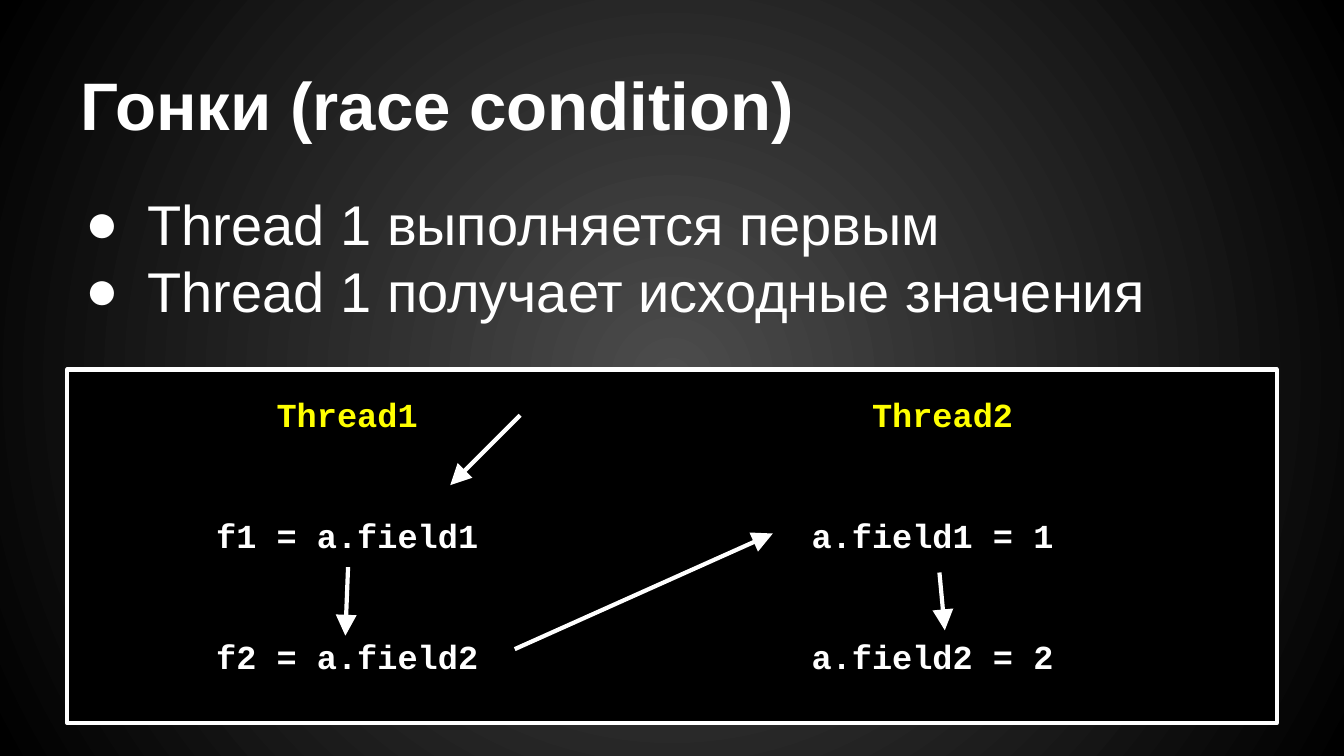
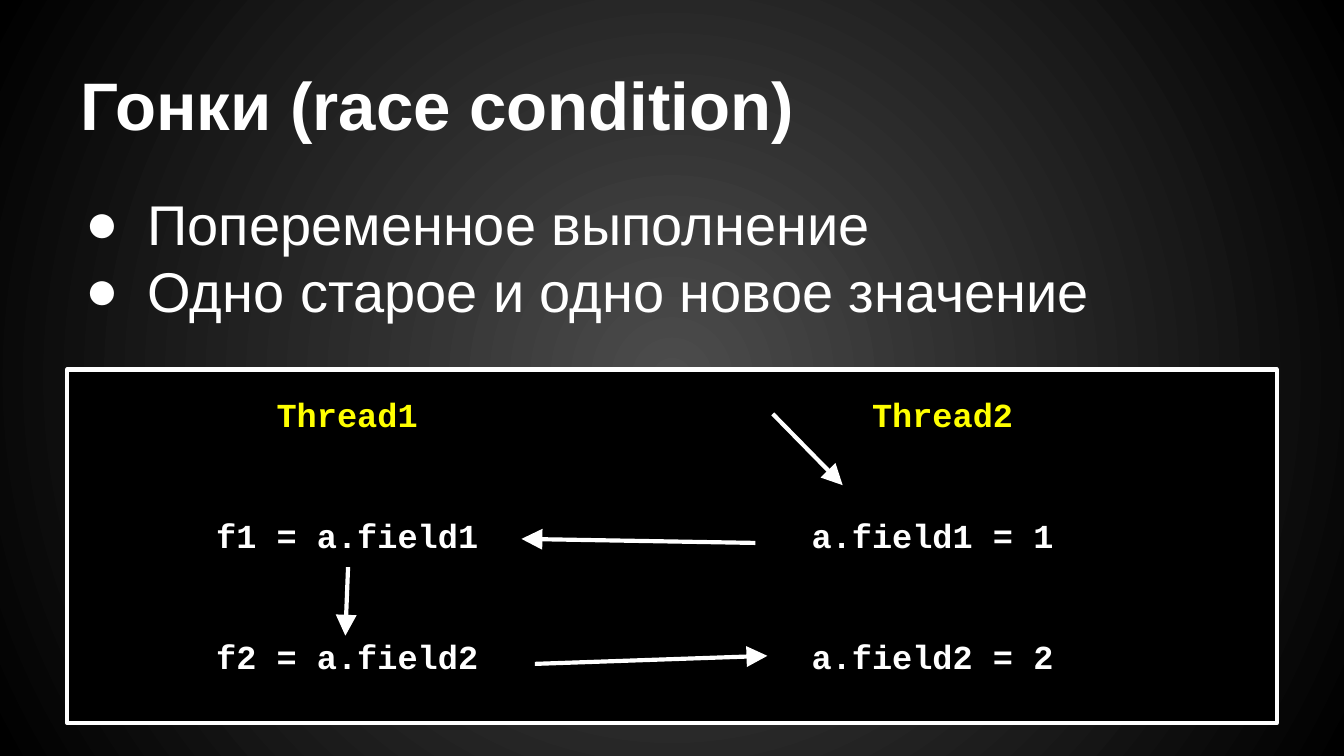
from lxml import etree
from pptx import Presentation
from pptx import util as u
from pptx.dml.color import RGBColor
from pptx.enum import shapes, text
from pptx.oxml import parse_xml
from pptx.oxml.ns import nsdecls, qn

COLORS = {"white": "FFFFFF", "black": "000000", "heading": "FFFF00", "glow": "4C4C4C"}
SANS, MONO = "Arial", "Courier New"
LINE_WIDTH = u.Pt(2.25)

TITLE = "Гонки (race condition)"
THREADS = [
    (1.51, "Thread1", ["f1 = a.field1", "f2 = a.field2"]),
    (5.94, "Thread2", ["a.field1 = 1", "a.field2 = 2"]),
]
THREAD1_STEP = ((2.59, 4.22), (2.57, 4.73))

# Each slide: bullets, then arrows showing the order of execution
SLIDES = [
    (
        ["Thread 1 выполняется первым", "Thread 1 получает исходные значения"],
        [
            ((3.87, 3.09), (3.35, 3.61)),
            ((3.83, 4.83), (5.75, 3.97)),
            THREAD1_STEP,
            ((6.99, 4.26), (7.03, 4.69)),
        ],
    ),
    (
        ["Попеременное выполнение", "Одно старое и одно новое значение"],
        [
            ((5.75, 3.08), (6.27, 3.61)),
            ((5.62, 4.04), (3.88, 4.01)),
            THREAD1_STEP,
            ((3.98, 4.94), (5.71, 4.88)),
        ],
    ),
]


def color(name):
    return RGBColor.from_string(COLORS[name])


def set_background(master):
    """Circular glow behind every slide."""
    fill = master.background.fill
    fill.gradient()
    for stop, name, position in zip(fill.gradient_stops, ("glow", "black"), (0, 1)):
        stop.color.rgb = color(name)
        stop.position = position
    gradient = master.element.find(".//" + qn("a:gradFill"))
    gradient.remove(gradient.find(qn("a:lin")))
    gradient.append(parse_xml(
        f'<a:path {nsdecls("a")} path="circle">'
        '<a:fillToRect l="50000" t="50000" r="50000" b="50000"/></a:path>'))


def prepare_frame(shape, anchor=text.MSO_ANCHOR.TOP):
    frame = shape.text_frame
    frame.word_wrap = True
    frame.vertical_anchor = anchor
    frame.margin_left = frame.margin_right = u.Inches(0.1)
    frame.margin_top = frame.margin_bottom = u.Inches(0.1)
    return frame


def write_lines(frame, lines, font, size, bold=False):
    for index, line in enumerate(lines):
        para = frame.paragraphs[0] if index == 0 else frame.add_paragraph()
        para.text = line
        para.alignment = text.PP_ALIGN.LEFT
        para.font.name = font
        para.font.size = u.Pt(size)
        para.font.bold = bold
        para.font.color.rgb = color("white")
    return frame.paragraphs


def indent(para, left, first=0):
    properties = para._p.get_or_add_pPr()
    properties.set("marL", str(u.Inches(left)))
    properties.set("indent", str(u.Inches(first)))
    return properties


def add_title(page, title):
    box = page.shapes.add_textbox(*map(u.Inches, (0.5, 0.23, 9, 0.94)))
    write_lines(prepare_frame(box, text.MSO_ANCHOR.BOTTOM), [title], SANS, 36, bold=True)


def add_bullets(page, lines):
    box = page.shapes.add_textbox(*map(u.Inches, (0.5, 1.31, 9, 4.07)))
    for para in write_lines(prepare_frame(box), lines, SANS, 30):
        properties = indent(para, 0.5, -0.46)
        bullet_parts = (
            parse_xml(f'<a:buClr {nsdecls("a")}>'
                      f'<a:srgbClr val="{COLORS["white"]}"/></a:buClr>'),
            etree.Element(qn("a:buSzPct"), val="100000"),
            etree.Element(qn("a:buFont"), typeface=SANS),
            etree.Element(qn("a:buChar"), char="●"),
        )
        # Bullet settings come before the paragraph's default run settings
        for position, element in enumerate(bullet_parts):
            properties.insert(position, element)


def add_panel(page, left, top, width, height, outlined=False):
    panel = page.shapes.add_shape(
        shapes.MSO_SHAPE.RECTANGLE, *map(u.Inches, (left, top, width, height)))
    panel.shadow.inherit = False
    panel.fill.solid()
    panel.fill.fore_color.rgb = color("black")
    if outlined:
        panel.line.color.rgb = color("white")
        panel.line.width = LINE_WIDTH
    else:
        panel.line.fill.background()
    return panel


def add_thread(page, left, name, statements):
    panel = add_panel(page, left, 2.83, 2.27, 2.39)
    frame = prepare_frame(panel)
    heading, *rows = write_lines(frame, [name, *statements], MONO, 18, bold=True)
    heading.font.color.rgb = color("heading")
    indent(heading, 0.45)
    for row in rows:
        row.space_before = u.Pt(43.3)


def add_arrow(page, start, end):
    arrow = page.shapes.add_connector(
        shapes.MSO_CONNECTOR.STRAIGHT, *map(u.Inches, (*start, *end)))
    arrow.line.color.rgb = color("white")
    arrow.line.width = LINE_WIDTH
    properties = arrow._element.spPr
    etree.SubElement(properties.find(qn("a:ln")), qn("a:tailEnd"),
                     type="triangle", w="lg", len="lg")
    etree.SubElement(properties, qn("a:effectLst"))


def main():
    deck = Presentation()
    deck.slide_width = u.Inches(10)
    deck.slide_height = deck.slide_width * 9 // 16
    set_background(deck.slide_master)
    for bullets, arrows in SLIDES:
        page = deck.slides.add_slide(deck.slide_layouts[6])
        add_title(page, TITLE)
        add_bullets(page, bullets)
        # Code panel with one column per thread
        add_panel(page, 0.5, 2.75, 9, 2.63, outlined=True)
        for thread in THREADS:
            add_thread(page, *thread)
        for start, end in arrows:
            add_arrow(page, start, end)
    deck.save("out.pptx")


if __name__ == "__main__":
    main()
